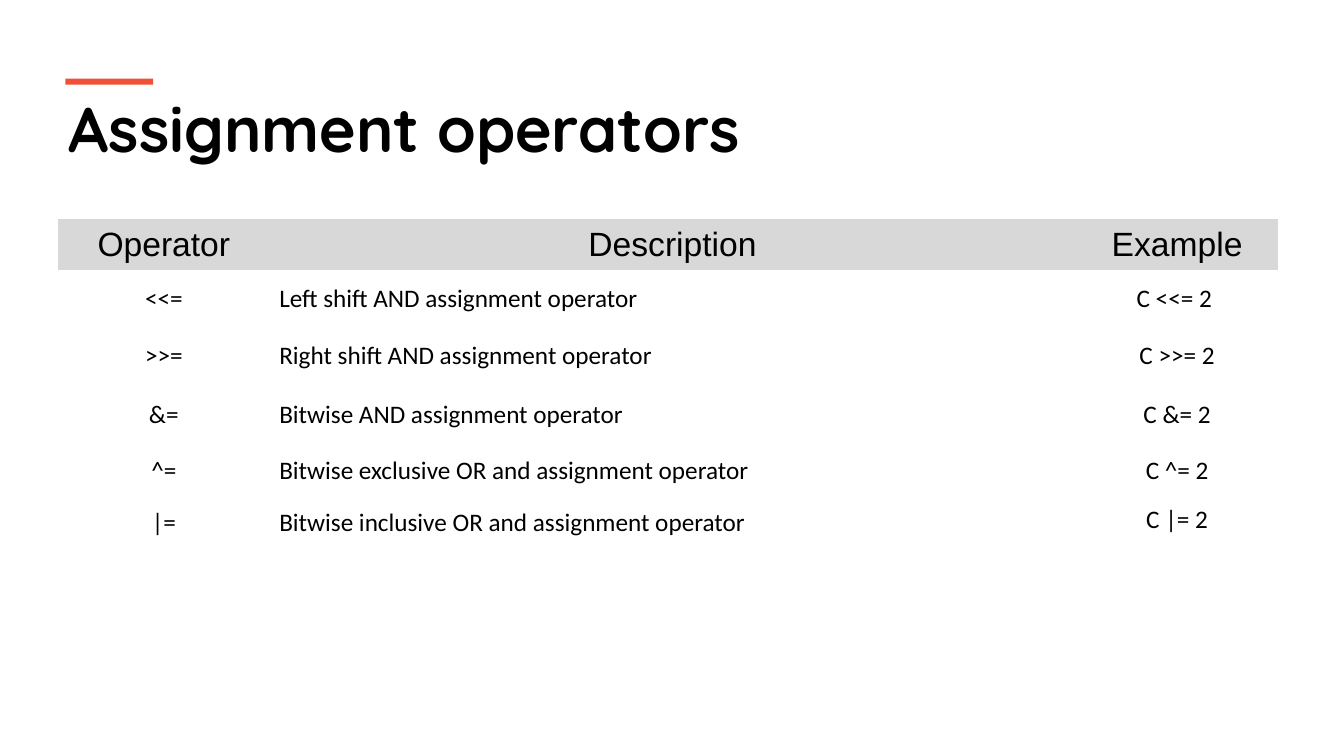
from dataclasses import dataclass

from pptx import Presentation
from pptx.dml.color import RGBColor
from pptx.enum.shapes import MSO_SHAPE
from pptx.enum.text import MSO_ANCHOR, PP_ALIGN
from pptx.slide import Slide
from pptx.table import _Cell
from pptx.text.text import TextFrame
from pptx.util import Emu, Pt

RECT = MSO_SHAPE.RECTANGLE
MIDDLE, TOP = MSO_ANCHOR.MIDDLE, MSO_ANCHOR.TOP
LEFT, CENTER = PP_ALIGN.LEFT, PP_ALIGN.CENTER
SCALE = 9144
PLAIN = "{2D5ABB26-0587-4C30-8999-92F81FD0307C}"
BLACK, GRAY, RED = "000000", "D8D8D8", "F05136"


@dataclass(frozen=True)
class Style:
    font: str
    size: int
    bold: bool = False


@dataclass(frozen=True)
class Row:
    sign: str
    text: str
    sample: str
    height: int


TITLE = Style("Quicksand", 45, True)
HEAD = Style("Arial", 24)
BODY = Style("Calibri", 18)
WIDTHS = (209, 800, 201)
ROWS = (
    Row("Operator", "Description", "Example", 51),
    Row("<<=", "Left shift AND assignment operator", "C <<= 2 ", 57),
    Row(">>=", "Right shift AND assignment operator", "C >>= 2", 57),
    Row("&=", "Bitwise AND assignment operator", "C &= 2", 60),
    Row("^=", "Bitwise exclusive OR and assignment operator", "C ^= 2", 51),
    Row("|=", "Bitwise inclusive OR and assignment operator", "C |= 2", 51),
)


def px(count: int) -> Emu:
    return Emu(count * SCALE)


def color(code: str) -> RGBColor:
    return RGBColor.from_string(code)


def write(frame: TextFrame, text: str, style: Style, align: PP_ALIGN) -> None:
    frame.text = text
    line = frame.paragraphs[0]
    line.alignment = align
    for run in line.runs:
        run.font.name = style.font
        run.font.size = Pt(style.size)
        run.font.bold = style.bold
        run.font.color.rgb = color(BLACK)


def draw_title(slide: Slide) -> None:
    box = slide.shapes.add_textbox(px(58), px(84), px(1234), px(86))
    box.text_frame.word_wrap = True
    write(box.text_frame, "Assignment operators", TITLE, LEFT)
    bar = slide.shapes.add_shape(RECT, px(65), px(78), px(87), px(6))
    bar.shadow.inherit = False
    bar.fill.solid()
    bar.fill.fore_color.rgb = color(RED)
    bar.line.fill.background()


def fill_cell(cell: _Cell, text: str, head: bool, align: PP_ALIGN) -> None:
    write(cell.text_frame, text, HEAD if head else BODY, align)
    cell.vertical_anchor = MIDDLE
    if head:
        cell.fill.solid()
        cell.fill.fore_color.rgb = color(GRAY)
    else:
        cell.fill.background()


def draw_table(slide: Slide) -> None:
    high = sum(row.height for row in ROWS)
    frame = slide.shapes.add_table(
        len(ROWS), len(WIDTHS), px(58), px(217), px(sum(WIDTHS)), px(high)
    )
    table = frame.table
    table.first_row = table.horz_banding = False
    table._tbl.tblPr[0].text = PLAIN
    for column, width in zip(table.columns, WIDTHS):
        column.width = px(width)
    for i, row in enumerate(ROWS):
        table.rows[i].height = px(row.height)
        for j, text in enumerate((row.sign, row.text, row.sample)):
            align = LEFT if i and j == 1 else CENTER
            fill_cell(table.cell(i, j), text, i == 0, align)
    last = table.cell(len(ROWS) - 1, len(WIDTHS) - 1)
    last.vertical_anchor = TOP
    last.margin_left = last.margin_right = px(8)
    last.margin_top = last.margin_bottom = px(8)


def main() -> None:
    deck = Presentation()
    deck.slide_width, deck.slide_height = px(1333), px(750)
    slide = deck.slides.add_slide(deck.slide_layouts[6])
    draw_title(slide)
    draw_table(slide)
    deck.save("out.pptx")


if __name__ == "__main__":
    main()
